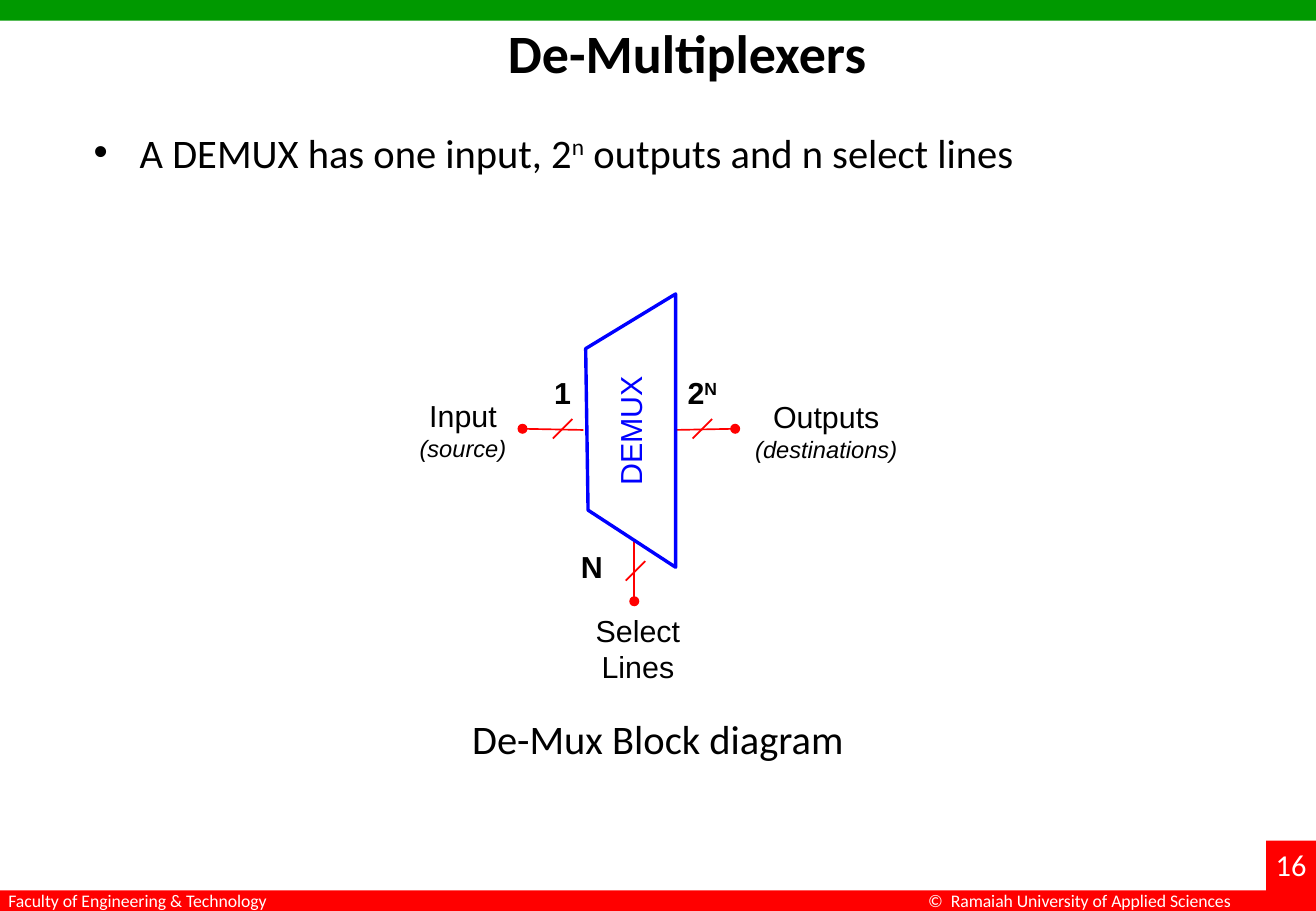
from dataclasses import dataclass

from lxml import etree
from pptx import Presentation
from pptx.dml.color import RGBColor
from pptx.enum.shapes import MSO_CONNECTOR, MSO_SHAPE
from pptx.enum.text import MSO_ANCHOR, MSO_AUTO_SIZE, PP_ALIGN
from pptx.oxml.ns import qn
from pptx.util import Pt

STRAIGHT = MSO_CONNECTOR.STRAIGHT
RECTANGLE = MSO_SHAPE.RECTANGLE
LEFT, CENTER = PP_ALIGN.LEFT, PP_ALIGN.CENTER
TOP, NO_FIT = MSO_ANCHOR.TOP, MSO_AUTO_SIZE.NONE
PX = 9144  # 100 px to the inch


@dataclass(frozen=True)
class Theme:
    black = RGBColor(0, 0, 0)
    white = RGBColor(255, 255, 255)
    green = RGBColor(0, 153, 0)
    red = RGBColor(255, 0, 0)
    blue = RGBColor(0, 0, 255)
    wire_width = Pt(1)
    block_width = Pt(2)
    fonts = {
        "title": dict(name="Calibri", size=Pt(32), bold=True),
        "body": dict(name="Calibri", size=Pt(24), bold=False),
        "footer": dict(name="Calibri", size=Pt(10.5)),
        "number": dict(name="Calibri", size=Pt(18)),
        "label": dict(name="Arial", size=Pt(18)),
        "note": dict(name="Arial", size=Pt(14), italic=True),
        "count": dict(name="Arial", size=Pt(18), bold=True),
    }


THEME = Theme()

# Content: boxes are left, top, width, height in px
SLIDE_SIZE = (1083, 750)
TITLE = ("De-Multiplexers", (408, 17, 319, 59))
BULLET = ([("A DEMUX has one input, 2", ""), ("n", "super"),
           (" outputs and n select lines", "")], (67, 100, 967, 50))
CAPTION = ("De-Mux Block diagram", (375, 583, 333, 50))

BANDS = [
    ((0, 0, 1083, 17), THEME.green),
    ((0, 733, 1083, 17), THEME.red),
    ((1042, 692, 42, 58), THEME.red),
]
FOOTERS = [
    ("©  Ramaiah University of Applied Sciences", "footer", (754, 728, 277, 28)),
    ("16", "number", (1040, 692, 50, 40)),
    ("Faculty of Engineering & Technology", "footer", (-3, 728, 238, 28)),
]

BLOCK_OUTLINE = [(484, 420), (482, 287), (556, 242), (556, 467)]
BLOCK_NAME = ("DEMUX", (463, 334, 111, 40))
# Terminal, block edge, centre of the bus slash
WIRES = [
    ((605, 353), (555, 354), (578, 353)),
    ((522, 495), (522, 435), (523, 470)),
    ((430, 353), (480, 354), (463, 353)),
]
SLASH_REACH = 8
# Each label is a list of (runs, style) lines and a box
LABELS = [
    ([([("Select", "")], "label"), ([("Lines", "")], "label")], (480, 499, 90, 71)),
    ([([("Input", "")], "label"), ([("(source)", "")], "note")], (335, 322, 92, 64)),
    ([([("Outputs", "")], "label"), ([("(destinations)", "")], "note")],
     (611, 323, 138, 64)),
    ([([("2", ""), ("N", "super")], "count")], (555, 303, 46, 40)),
    ([([("1", "")], "count")], (446, 303, 34, 40)),
    ([([("N", "")], "count")], (468, 446, 38, 40)),
]


def emu(*lengths):
    return [length * PX for length in lengths]


def write_line(paragraph, runs, style, color=THEME.black, align=LEFT):
    layout = dict(alignment=align, space_before=Pt(0), space_after=Pt(0))
    for key, value in layout.items():
        setattr(paragraph, key, value)
    for words, position in runs:
        run = paragraph.add_run()
        run.text = words
        for key, value in THEME.fonts[style].items():
            setattr(run.font, key, value)
        run.font.color.rgb = color
        if position == "super":
            run.font._element.set("baseline", "30000")


def set_frame(shape, box, wrap):
    for key, value in zip(("left", "top", "width", "height"), emu(*box)):
        setattr(shape, key, value)
    settings = dict(word_wrap=wrap, auto_size=NO_FIT, vertical_anchor=TOP)
    for key, value in settings.items():
        setattr(shape.text_frame, key, value)
    return shape.text_frame


def add_text(slide, lines, box, color=THEME.black, align=LEFT, wrap=False):
    text = slide.shapes.add_textbox(*emu(*box))
    frame = set_frame(text, box, wrap)
    for index, (runs, style) in enumerate(lines):
        paragraph = frame.add_paragraph() if index else frame.paragraphs[0]
        write_line(paragraph, runs, style, color, align)
    return text


def add_wire(slide, start, end, dotted=False):
    wire = slide.shapes.add_connector(STRAIGHT, *emu(*start, *end))
    wire.line.color.rgb = THEME.red
    wire.line.width = THEME.wire_width
    if dotted:
        etree.SubElement(wire.line._get_or_add_ln(), qn("a:headEnd"), type="oval")
    etree.SubElement(wire._element.spPr, qn("a:effectLst"))


def add_bands(slide):
    for box, color in BANDS:
        band = slide.shapes.add_shape(RECTANGLE, *emu(*box))
        band.shadow.inherit = False
        band.fill.solid()
        band.fill.fore_color.rgb = color
        band.line.fill.background()
    for words, style, box in FOOTERS:
        add_text(slide, [([(words, "")], style)], box, THEME.white)


def add_heading(slide):
    words, box = TITLE
    heading = set_frame(slide.shapes.title, box, False).paragraphs[0]
    write_line(heading, [(words, "")], "title")
    heading.line_spacing = 0.9

    runs, box = BULLET
    point = set_frame(slide.placeholders[1], box, True).paragraphs[0]
    properties = point._p.get_or_add_pPr()
    properties.set("marL", str(38 * PX))
    properties.set("indent", str(-38 * PX))
    etree.SubElement(properties, qn("a:buFont"), typeface="Arial")
    etree.SubElement(properties, qn("a:buChar"), char="•")
    write_line(point, runs, "body")


def add_diagram(slide):
    # Wires with their bus slashes
    for terminal, edge, (x, y) in WIRES:
        add_wire(slide, terminal, edge, dotted=True)
        add_wire(slide, (x - SLASH_REACH, y + SLASH_REACH),
                 (x + SLASH_REACH, y - SLASH_REACH))
    for lines, box in LABELS:
        add_text(slide, lines, box, align=CENTER)

    # Block and its name
    builder = slide.shapes.build_freeform(*BLOCK_OUTLINE[0], scale=PX)
    builder.add_line_segments(BLOCK_OUTLINE[1:], close=True)
    block = builder.convert_to_shape()
    block.shadow.inherit = False
    block.fill.solid()
    block.fill.fore_color.rgb = THEME.white
    block.line.color.rgb = THEME.blue
    block.line.width = THEME.block_width
    words, box = BLOCK_NAME
    add_text(slide, [([(words, "")], "label")], box, THEME.blue).rotation = 270

    words, box = CAPTION
    add_text(slide, [([(words, "")], "body")], box, align=CENTER, wrap=True)


def main():
    deck = Presentation()
    deck.slide_width, deck.slide_height = emu(*SLIDE_SIZE)
    slide = deck.slides.add_slide(deck.slide_layouts[1])
    add_bands(slide)
    add_heading(slide)
    add_diagram(slide)
    deck.save("out.pptx")


if __name__ == "__main__":
    main()
